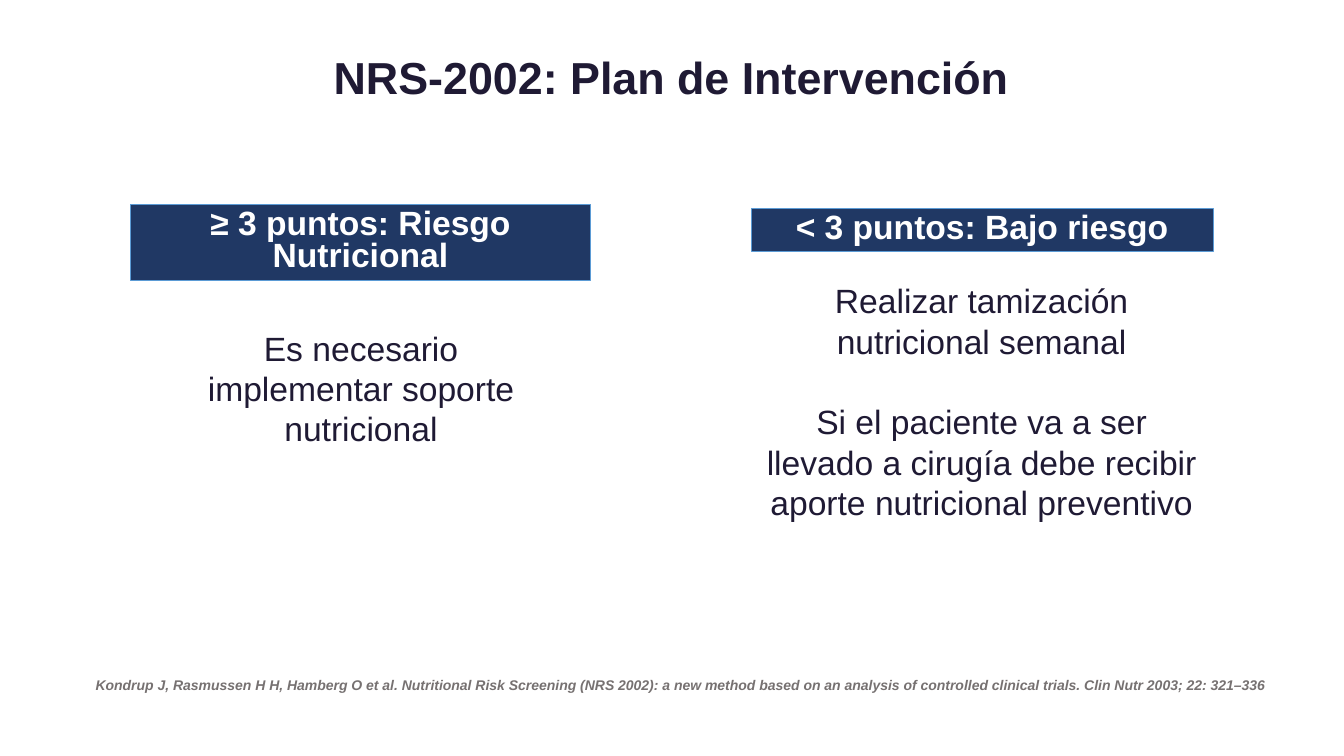
from dataclasses import dataclass

from lxml import etree
from pptx import Presentation
from pptx import util as u
from pptx.dml.color import RGBColor
from pptx.enum import shapes, text

COLORS = {
    "ink": "1F1A34",
    "navy": "203864",
    "edge": "5B9BD5",
    "white": "FFFFFF",
    "grey": "767171",
}
FONT = "Arial"
BLANK_LAYOUT = 6
PARAGRAPH_GAP = 29


@dataclass(frozen=True)
class Area:
    left: float
    top: float
    width: float
    height: float

    def lengths(self) -> tuple:
        return tuple(u.Inches(n) for n in (self.left, self.top, self.width, self.height))


@dataclass(frozen=True)
class RiskGroup:
    heading: str
    heading_area: Area
    actions: tuple[str, ...]
    actions_area: Area


RISK_GROUPS = (
    RiskGroup(
        "≥ 3 puntos: Riesgo Nutricional",
        Area(1.29, 2.03, 4.57, 0.75),
        ("Es necesario implementar soporte nutricional",),
        Area(1.67, 3.2, 3.82, 1.36),
    ),
    RiskGroup(
        "< 3 puntos: Bajo riesgo",
        Area(7.45, 2.07, 4.58, 0.42),
        (
            "Realizar tamización nutricional semanal",
            "Si el paciente va a ser llevado a cirugía debe recibir "
            "aporte nutricional preventivo",
        ),
        Area(7.44, 2.73, 4.59, 2.53),
    ),
)


def color(name: str) -> RGBColor:
    return RGBColor.from_string(COLORS[name])


def write(box, *lines: str, size: float = 24, ink: str = "ink", bold: bool = False,
          italic: bool = False, align=text.PP_ALIGN.CENTER,
          anchor=text.MSO_ANCHOR.TOP, spacing: float = 1.0) -> None:
    """Fill a shape with paragraphs that share one format."""
    frame = box.text_frame
    frame.word_wrap = True
    frame.vertical_anchor = anchor
    for index, line in enumerate(lines):
        para = frame.add_paragraph() if index else frame.paragraphs[0]
        para.alignment = align
        para.line_spacing = spacing
        if index:
            para.space_before = u.Pt(PARAGRAPH_GAP)
        span = para.add_run()
        span.text = line
        span.font.name = FONT
        span.font.size = u.Pt(size)
        span.font.bold = bold
        span.font.italic = italic
        span.font.color.rgb = color(ink)


def add_text(page, area: Area, *lines: str, **style) -> None:
    write(page.shapes.add_textbox(*area.lengths()), *lines, **style)


def add_group(page, group: RiskGroup) -> None:
    banner = page.shapes.add_shape(
        shapes.MSO_SHAPE.RECTANGLE, *group.heading_area.lengths())
    banner.shadow.inherit = False
    banner.fill.solid()
    banner.fill.fore_color.rgb = color("navy")
    banner.line.color.rgb = color("edge")
    banner.line.width = u.Pt(0.5)
    write(banner, group.heading, ink="white", bold=True, spacing=0.8)
    add_text(page, group.actions_area, *group.actions)


def main() -> None:
    deck = Presentation()
    deck.slide_width = u.Inches(13.33)
    deck.slide_height = u.Inches(7.5)
    page = deck.slides.add_slide(deck.slide_layouts[BLANK_LAYOUT])

    # Title
    add_text(page, Area(3.06, 0.17, 7.2, 1.25), "NRS-2002: Plan de Intervención",
             size=32, bold=True, anchor=text.MSO_ANCHOR.MIDDLE, spacing=0.9)

    # Risk groups with their actions
    for group in RISK_GROUPS:
        add_group(page, group)

    # Citation
    add_text(page, Area(0.85, 6.66, 12.21, 0.27),
             "Kondrup J, Rasmussen H H, Hamberg O et al. Nutritional Risk Screening "
             "(NRS 2002): a new method based on an analysis of controlled clinical "
             "trials. Clin Nutr 2003; 22: 321–336",
             size=10, ink="grey", bold=True, italic=True, align=text.PP_ALIGN.LEFT)

    deck.save("out.pptx")


if __name__ == "__main__":
    main()
